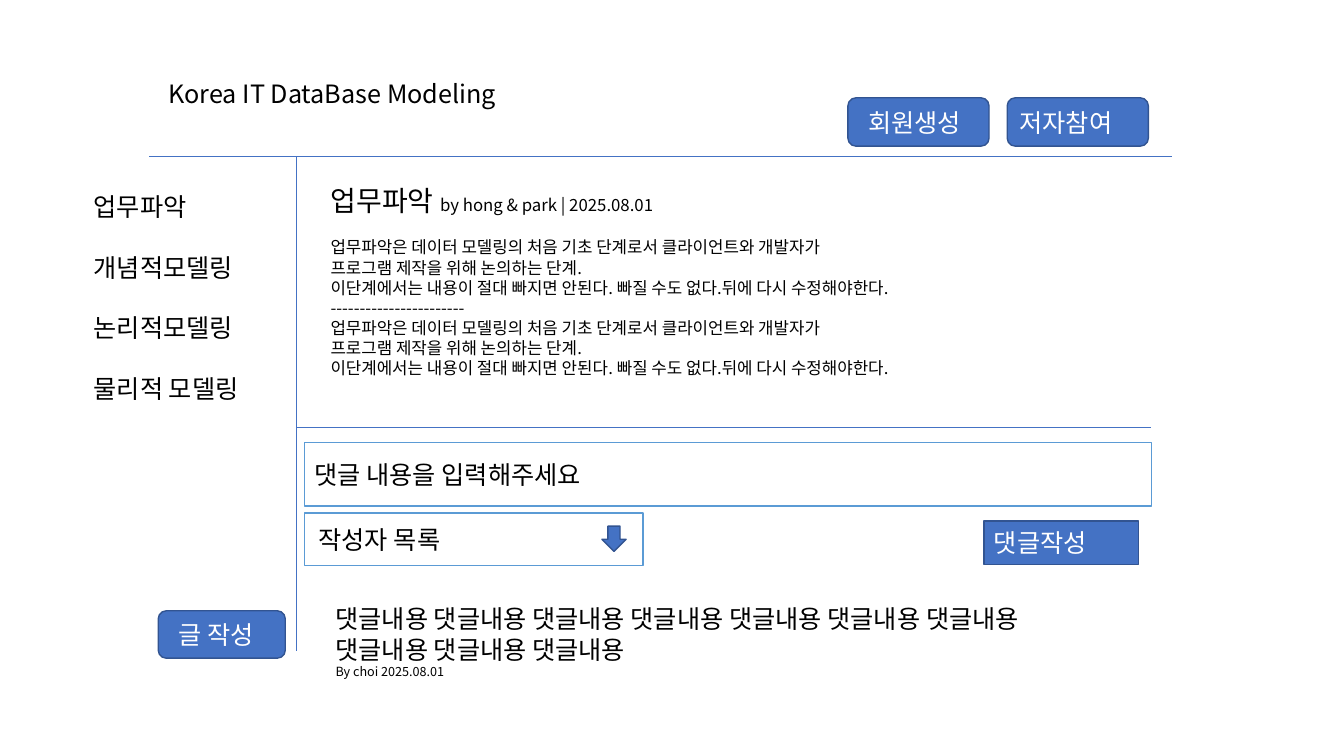
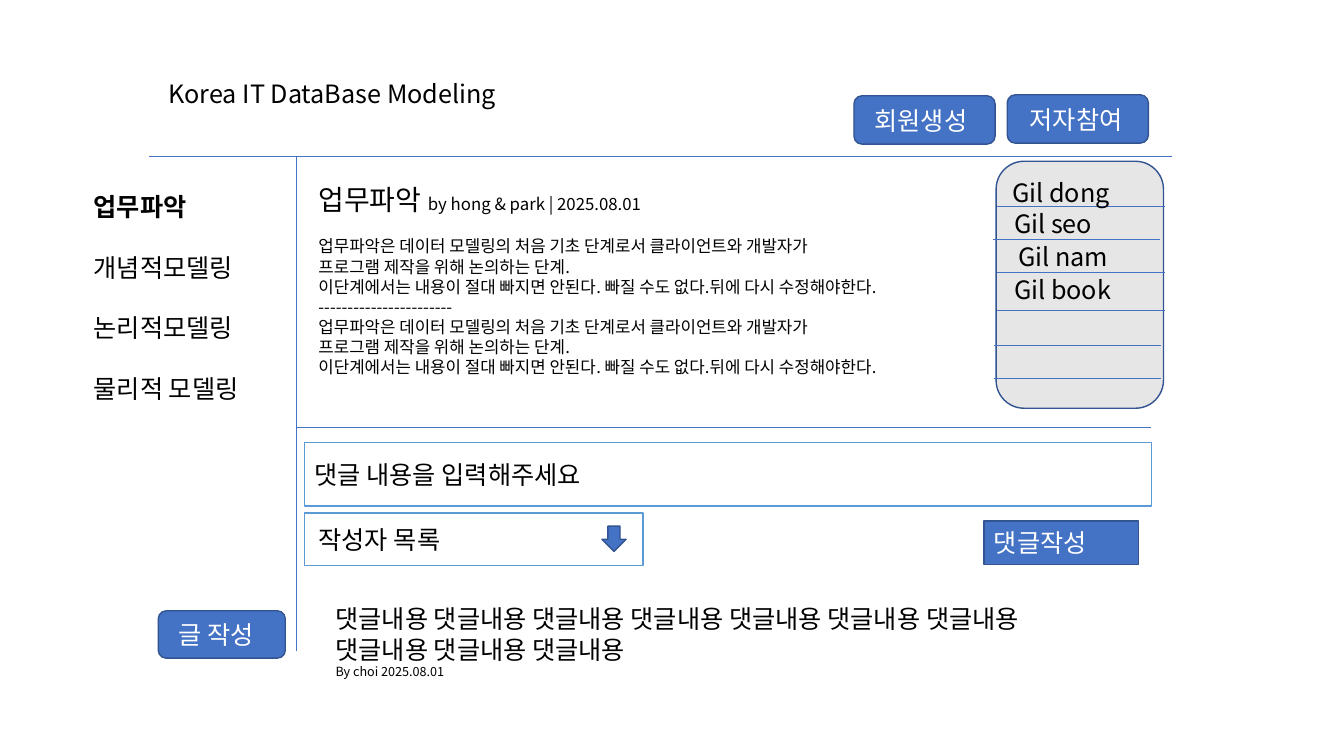
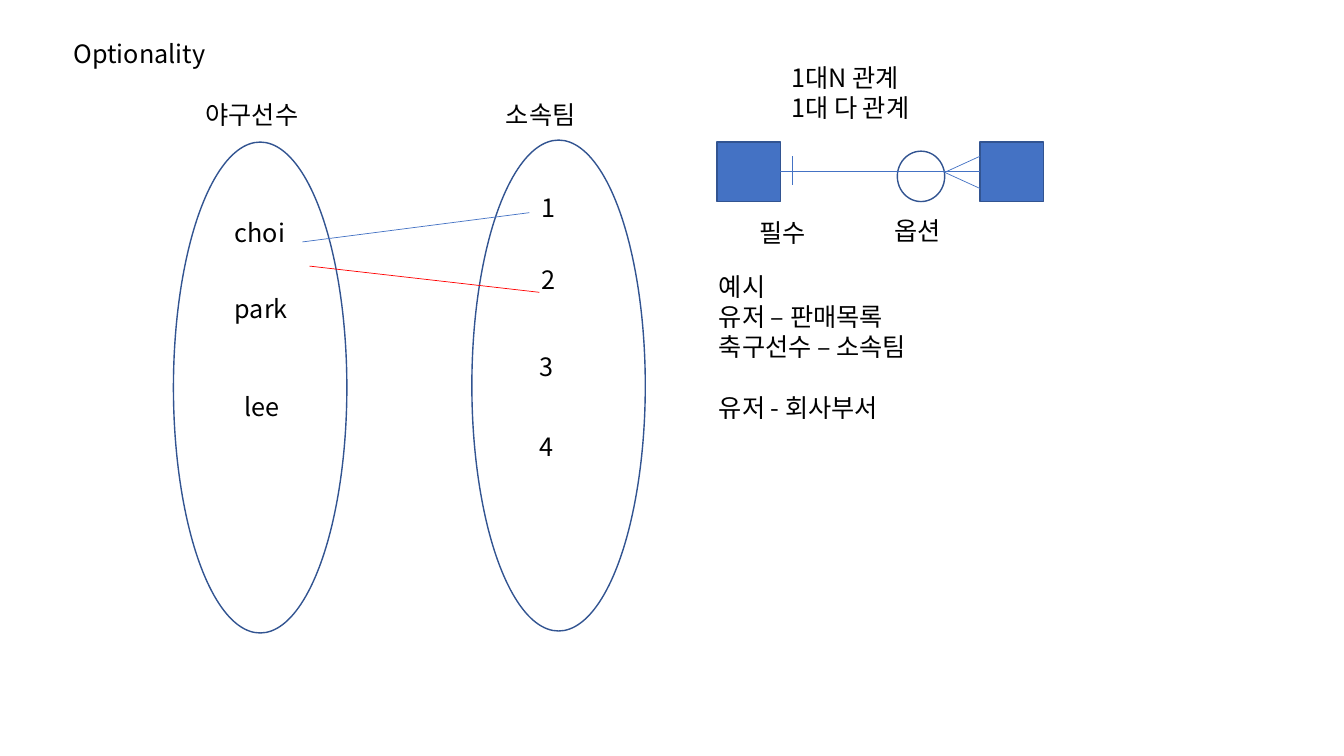
from dataclasses import dataclass

from lxml import etree
from pptx import Presentation
from pptx.dml.color import RGBColor
from pptx.enum.shapes import MSO_CONNECTOR, MSO_SHAPE
from pptx.enum.text import MSO_ANCHOR, MSO_AUTO_SIZE, PP_ALIGN
from pptx.oxml.ns import qn
from pptx.util import Inches, Pt

RECTANGLE = MSO_SHAPE.RECTANGLE
ROUNDED = MSO_SHAPE.ROUNDED_RECTANGLE
ELLIPSE = MSO_SHAPE.OVAL
DOWN_ARROW = MSO_SHAPE.DOWN_ARROW
STRAIGHT = MSO_CONNECTOR.STRAIGHT
TOP, MIDDLE = MSO_ANCHOR.TOP, MSO_ANCHOR.MIDDLE
LEFT = PP_ALIGN.LEFT
NO_AUTOSIZE = MSO_AUTO_SIZE.NONE


@dataclass(frozen=True)
class Theme:
    font: str = "Noto Sans CJK KR"
    black: str = "000000"
    white: str = "FFFFFF"
    blue: str = "4472C4"
    outline: str = "325491"
    field: str = "5B9BD5"
    gray: str = "E7E6E6"
    red: str = "FF0000"
    heading: int = 20
    text: int = 18
    article: int = 12
    small: int = 9
    leading: float = 1.2
    border: float = 1
    rule: float = 0.5


THEME = Theme()


def write_text(shape, lines, color=THEME.black, size=THEME.text, gaps=None, inset=0.1, anchor=TOP):
    frame = shape.text_frame
    frame_format = {
        "word_wrap": True, "auto_size": NO_AUTOSIZE, "vertical_anchor": anchor,
        "margin_left": Inches(inset), "margin_right": Inches(0.1),
        "margin_top": Inches(0.05), "margin_bottom": Inches(0.05),
    }
    for name, value in frame_format.items():
        setattr(frame, name, value)
    for index, line in enumerate(lines):
        paragraph = frame.add_paragraph() if index else frame.paragraphs[0]
        runs = [(line, {})] if isinstance(line, str) else line
        largest = max(changes.get("size", size) for _, changes in runs)
        paragraph_format = {
            "alignment": LEFT, "line_spacing": Pt(largest * THEME.leading),
            "space_before": Pt((gaps or {}).get(index, 0)), "space_after": Pt(0),
        }
        for name, value in paragraph_format.items():
            setattr(paragraph, name, value)
        properties = paragraph._p.get_or_add_pPr()
        properties.set("marL", "0")
        properties.set("indent", "0")
        etree.SubElement(properties, qn("a:buNone"))
        for text, changes in runs:
            run = paragraph.add_run()
            run.text = text
            run_format = {"name": THEME.font, "bold": False, "size": size, **changes}
            run_format["size"] = Pt(run_format["size"])
            for name, value in run_format.items():
                setattr(run.font, name, value)
            run.font.color.rgb = RGBColor.from_string(color)
            east_asian = etree.SubElement(run._r.get_or_add_rPr(), qn("a:ea"))
            east_asian.set("typeface", THEME.font)


def add_box(slide, geometry, box, fill=THEME.blue, outline=THEME.outline):
    place = [Inches(value) for value in box]
    if geometry is None:
        return slide.shapes.add_textbox(*place)
    shape = slide.shapes.add_shape(geometry, *place)
    shape.shadow.inherit = False
    shape.fill.solid()
    shape.fill.fore_color.rgb = RGBColor.from_string(fill)
    shape.line.color.rgb = RGBColor.from_string(outline)
    shape.line.width = Pt(THEME.border)
    return shape


presentation = Presentation()
presentation.slide_width = Inches(13.33)
presentation.slide_height = Inches(7.5)
layout = presentation.slide_layouts[1]
blank_line = THEME.text * THEME.leading

menu = ["업무파악", "개념적모델링", "논리적모델링", "물리적 모델링"]
menu_gaps = {index: blank_line for index in range(1, len(menu))}
explanation = [
    "업무파악은 데이터 모델링의 처음 기초 단계로서 클라이언트와 개발자가",
    "프로그램 제작을 위해 논의하는 단계.",
    "이단계에서는 내용이 절대 빠지면 안된다. 빠질 수도 없다.뒤에 다시 수정해야한다.",
]
article = [
    [("업무파악 ", {"size": THEME.heading}), ("by hong & park | 2025.08.01", {})],
    *explanation, "-----------------------", *explanation,
]
comment = [
    " ".join(["댓글내용"] * 7),
    " ".join(["댓글내용"] * 3),
    [("By choi 2025.08.01", {"size": THEME.small})],
]

home = {
    "selected": False,
    "article": (3.18, 1.77, 8.4, 2.36),
    "buttons": [("회원생성", (8.41, 0.97, 1.4, 0.48), 0.18), ("저자참여", (9.99, 0.97, 1.4, 0.48), 0.1)],
}
author_menu = {
    "selected": True,
    "article": (3.06, 1.76, 8.4, 2.36),
    "buttons": [("회원생성", (8.47, 0.95, 1.4, 0.48), 0.18), ("저자참여", (9.99, 0.94, 1.4, 0.48), 0.2)],
}
rules = [(1.48, 1.55, 11.62, 1.55), (2.94, 1.55, 2.94, 6.46), (2.94, 4.24, 11.42, 4.24)]
fields = [
    ("댓글 내용을 입력해주세요", (3.02, 4.39, 8.4, 0.63), 0.1),
    ("작성자 목록", (3.02, 5.09, 3.36, 0.52), 0.14),
]
connectors = []

for screen in (home, author_menu):
    slide = presentation.slides.add_slide(layout)
    first_item = [(menu[0], {"bold": screen["selected"]})]
    title, body = slide.placeholders
    for placeholder, box in ((title, (1.57, 0.73, 5.34, 0.4)), (body, (0.83, 1.85, 2, 2.22))):
        placeholder.left, placeholder.top, placeholder.width, placeholder.height = map(Inches, box)
    write_text(title, ["Korea IT DataBase Modeling"])
    write_text(body, [first_item, *menu[1:]], gaps=menu_gaps)
    for rule in rules:
        connector = slide.shapes.add_connector(STRAIGHT, *map(Inches, rule))
        connectors.append((connector, THEME.blue))
    write_text(add_box(slide, None, screen["article"]), article, size=THEME.article,
               gaps={1: THEME.article * THEME.leading})
    for label, box, inset in fields:
        field = add_box(slide, RECTANGLE, box, THEME.white, THEME.field)
        write_text(field, [label], inset=inset, anchor=MIDDLE)
    add_box(slide, DOWN_ARROW, (5.97, 5.22, 0.24, 0.25))
    submit_button = add_box(slide, RECTANGLE, (9.76, 5.17, 1.53, 0.43))
    write_text(submit_button, ["댓글작성"], THEME.white, anchor=MIDDLE)
    write_text(add_box(slide, None, (3.23, 5.94, 8.19, 0.86)), comment)
    for label, box, inset in [*screen["buttons"], ("글 작성", (1.57, 6.06, 1.26, 0.47), 0.18)]:
        button = add_box(slide, ROUNDED, box)
        write_text(button, [label], THEME.white, inset=inset, anchor=MIDDLE)

add_box(slide, ROUNDED, (9.88, 1.6, 1.66, 2.45), THEME.gray)
for left, top in ((9.89, 2.05), (9.85, 2.37), (9.89, 2.7), (9.89, 3.08), (9.86, 3.43), (9.86, 3.75)):
    separator = slide.shapes.add_connector(STRAIGHT, *map(Inches, (left, top, left + 1.66, top)))
    connectors.append((separator, THEME.blue))
for author, left, top in (
    ("Gil dong", 9.94, 1.71), ("Gil seo", 9.96, 2.02), ("Gil nam", 10, 2.34), ("Gil book", 9.96, 2.67),
):
    write_text(add_box(slide, None, (left, top, 1.2, 0.4)), [author])

slide = presentation.slides.add_slide(layout)
title, body = slide.placeholders
for placeholder, box in ((title, (0.63, 0.33, 3.39, 0.4)), (body, (7.03, 2.64, 2.69, 1.92))):
    placeholder.left, placeholder.top, placeholder.width, placeholder.height = map(Inches, box)
write_text(title, ["Optionality"])
write_text(body, ["예시", "유저 – 판매목록", "축구선수 – 소속팀", "유저 - 회사부서"], gaps={3: blank_line})

for box in ((8.9, 1.5, 0.47, 0.5), (1.72, 1.41, 1.72, 4.87), (4.68, 1.39, 1.72, 4.87)):
    add_box(slide, ELLIPSE, box, THEME.white)
for lines, left, top, width, height in (
    (["야구선수"], 1.94, 0.94, 2.08, 0.4),
    (["소속팀"], 4.92, 0.94, 2.08, 0.4),
    (["choi"], 2.23, 2.11, 0.95, 0.4),
    (["park"], 2.23, 2.86, 0.95, 0.4),
    (["lee"], 2.33, 3.83, 0.95, 0.4),
    (["1"], 5.27, 1.86, 0.95, 0.4),
    (["2"], 5.27, 2.57, 0.95, 0.4),
    (["3"], 5.25, 3.44, 0.95, 0.4),
    (["4"], 5.25, 4.23, 0.95, 0.4),
    (["1대N 관계", "1대 다 관계"], 7.75, 0.57, 2.08, 0.71),
    (["필수"], 7.43, 2.11, 1.2, 0.4),
    (["옵션"], 8.77, 2.09, 1.2, 0.4),
):
    write_text(add_box(slide, None, (left, top, width, height)), lines)

one_entity, many_entity = [add_box(slide, RECTANGLE, (left, 1.41, 0.63, 0.59)) for left in (7.11, 9.72)]
relation = slide.shapes.add_connector(STRAIGHT, *map(Inches, (7.74, 1.71, 9.72, 1.71)))
relation.begin_connect(one_entity, 3)
relation.end_connect(many_entity, 1)
connectors.append((relation, THEME.blue))
for ends, color in (
    ((3, 2.4, 5.25, 2.11), THEME.blue),
    ((3.07, 2.64, 5.35, 2.9), THEME.red),
    ((9.37, 1.71, 9.72, 1.55), THEME.blue),
    ((9.37, 1.71, 9.72, 1.87), THEME.blue),
    ((7.86, 1.55, 7.86, 1.84), THEME.blue),
):
    connectors.append((slide.shapes.add_connector(STRAIGHT, *map(Inches, ends)), color))

for connector, color in connectors:
    connector.line.color.rgb = RGBColor.from_string(color)
    connector.line.width = Pt(THEME.rule)
    etree.SubElement(connector._element.spPr, qn("a:effectLst"))

presentation.save("out.pptx")
